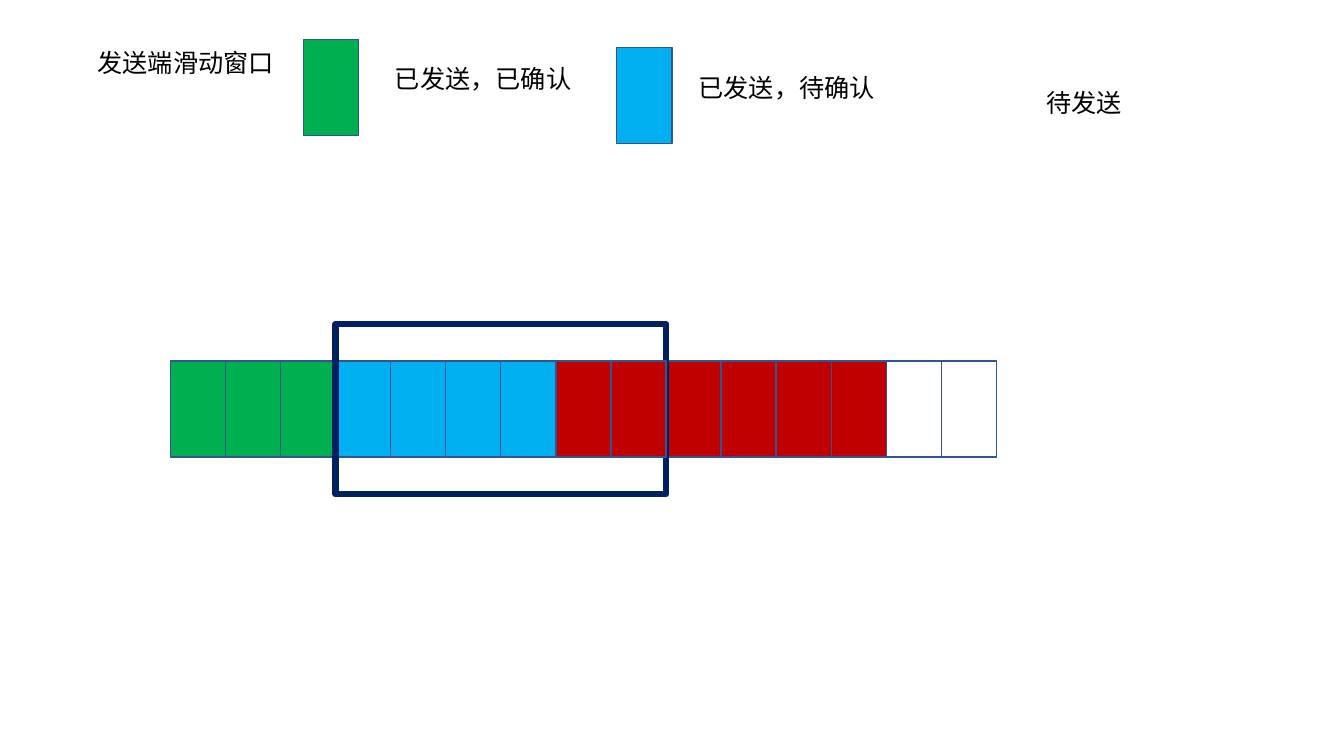
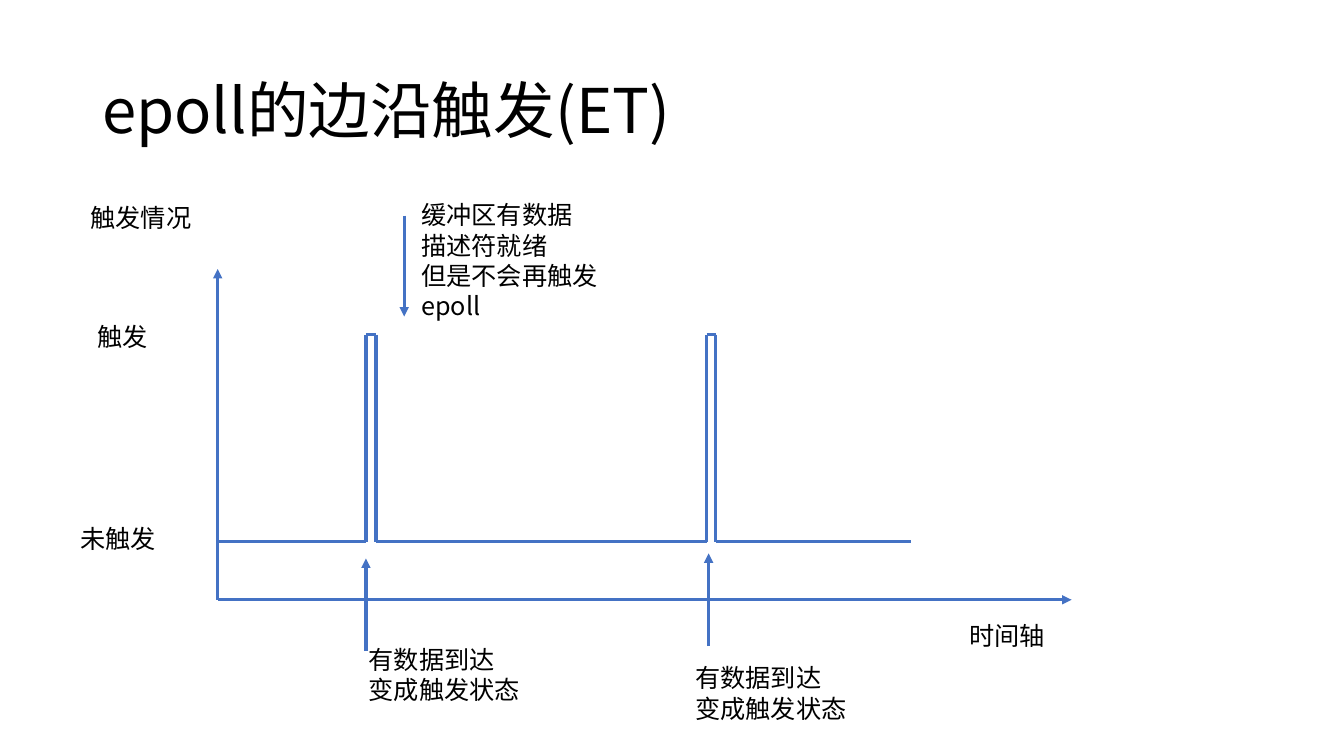
from itertools import pairwise

from lxml import etree
from pptx import Presentation
from pptx.dml.color import RGBColor
from pptx.enum.shapes import MSO_CONNECTOR, MSO_SHAPE
from pptx.enum.text import MSO_ANCHOR, MSO_AUTO_SIZE
from pptx.oxml.ns import qn
from pptx.util import Pt

RECTANGLE = MSO_SHAPE.RECTANGLE
STRAIGHT = MSO_CONNECTOR.STRAIGHT
MIDDLE = MSO_ANCHOR.MIDDLE
GROW = MSO_AUTO_SIZE.SHAPE_TO_FIT_TEXT
FIXED = MSO_AUTO_SIZE.NONE

# Shared look
FONT = "Noto Sans CJK SC"
BLACK, GREEN, BLUE, RED = "000000", "00B050", "00B0F0", "C00000"
CELL_LINE, FRAME_LINE, CHART_LINE = "325491", "002060", "4472C4"
LABEL = {"name": FONT, "size": Pt(18)}
TITLE = {"name": FONT, "size": Pt(44)}
CELL_WIDTH, CELL_HEIGHT = 39.34, 68.6


def add_text(page, at, text, style=LABEL, **frame_format):
    box = page.shapes.add_textbox(*map(Pt, at))
    frame = box.text_frame
    frame.text = text
    for name, value in ({"word_wrap": True, "auto_size": GROW} | frame_format).items():
        setattr(frame, name, value)
    for para in frame.paragraphs:
        for span in para.runs:
            for name, value in style.items():
                setattr(span.font, name, value)
            span.font.color.rgb = RGBColor.from_string(BLACK)
            east_asian = etree.SubElement(span.font._element, qn("a:ea"))
            east_asian.set("typeface", FONT)
    return box


def add_rectangle(page, at, fill, line=CELL_LINE, line_width=1):
    box = page.shapes.add_shape(RECTANGLE, *map(Pt, at))
    box.shadow.inherit = False
    if fill:
        box.fill.solid()
        box.fill.fore_color.rgb = RGBColor.from_string(fill)
    else:
        box.fill.background()
    box.line.color.rgb = RGBColor.from_string(line)
    box.line.width = Pt(line_width)


deck = Presentation()
deck.slide_width, deck.slide_height = Pt(960), Pt(540)
blank = deck.slide_layouts[6]

# Slide 1: sliding window of the sender
page = deck.slides.add_slide(blank)

# Legend
add_text(page, (62.6, 30.2, 183.6, 28.8), "发送端滑动窗口")
for left, top, fill in [(216.7, 28.1, GREEN), (440.6, 34, BLUE)]:
    add_rectangle(page, (left, top, CELL_WIDTH, CELL_HEIGHT), fill)
for left, top, width, text in [
    (275, 41.8, 141.8, "已发送，已确认"),
    (491.8, 47.9, 141.8, "已发送，待确认"),
    (740.2, 59, 69.1, "待发送"),
]:
    add_text(page, (left, top, width, 28.8), text, word_wrap=False)

# Packets: the last two inside the window lie above its frame
row_left, row_top = 121.7, 257.8
fills = [GREEN] * 3 + [BLUE] * 4 + [RED] * 6 + [None] * 2
window_start, window_end = 3, 9
above_frame = [7, 8]
below_frame = [index for index in range(len(fills)) if index not in above_frame]
for index in below_frame + ["frame"] + above_frame:
    if index == "frame":
        left = row_left + window_start * CELL_WIDTH
        width = (window_end - window_start) * CELL_WIDTH
        add_rectangle(page, (left, 231.4, width, 121.7), None, FRAME_LINE, 4.5)
    else:
        left = row_left + index * CELL_WIDTH
        add_rectangle(page, (left, row_top, CELL_WIDTH, CELL_HEIGHT), fills[index])

# Slide 2: edge trigger over time
page = deck.slides.add_slide(blank)
title = add_text(page, (66, 28.8, 828, 104.4), "epoll的边沿触发(ET)", TITLE,
                 auto_size=FIXED, vertical_anchor=MIDDLE)
title.text_frame.paragraphs[0].line_spacing = 0.9

# Axes, arrows and signal
axis_left, axis_bottom = 155.5, 428.4
idle, triggered = 387, 239
arrows = [
    ((axis_left, axis_bottom), (765.4, axis_bottom)),
    ((axis_left, axis_bottom), (axis_left, 192.2)),
    ((261.4, 465.1), (261.4, 398.9)),
    ((288.7, 154.1), (288.7, 226.1)),
    ((506.2, 461.5), (506.2, 395.3)),
]
signal = [(axis_left, idle)]
for rise, fall in [(261.4, 268.6), (504.7, 511.2)]:
    signal += [(rise, idle), (rise, triggered), (fall, triggered), (fall, idle)]
signal.append((650.9, idle))

for start, end in arrows + list(pairwise(signal)):
    connector = page.shapes.add_connector(STRAIGHT, *map(Pt, start + end))
    connector.line.color.rgb = RGBColor.from_string(CHART_LINE)
    connector.line.width = Pt(2.25)
    if (start, end) in arrows:
        tail = etree.SubElement(connector.line._get_or_add_ln(), qn("a:tailEnd"))
        tail.set("type", "triangle")
    etree.SubElement(connector._element.spPr, qn("a:effectLst"))

# Labels
add_text(page, (685.4, 439.9, 69.1, 28.8), "时间轴", word_wrap=False)
arrival = "有数据到达\n变成触发状态"
for at, text in [
    ((57.6, 141.1, 118.1, 28.8), "触发情况"),
    ((62.6, 226.1, 93.6, 28.8), "触发"),
    ((50.4, 370.1, 93.6, 28.8), "未触发"),
    ((293.8, 139, 140.4, 116.6), "缓冲区有数据\n描述符就绪\n但是不会再触发epoll"),
    ((256.3, 456.5, 130.3, 51.1), arrival),
    ((489.6, 469.8, 130.3, 51.1), arrival),
]:
    add_text(page, at, text)

deck.save("out.pptx")
